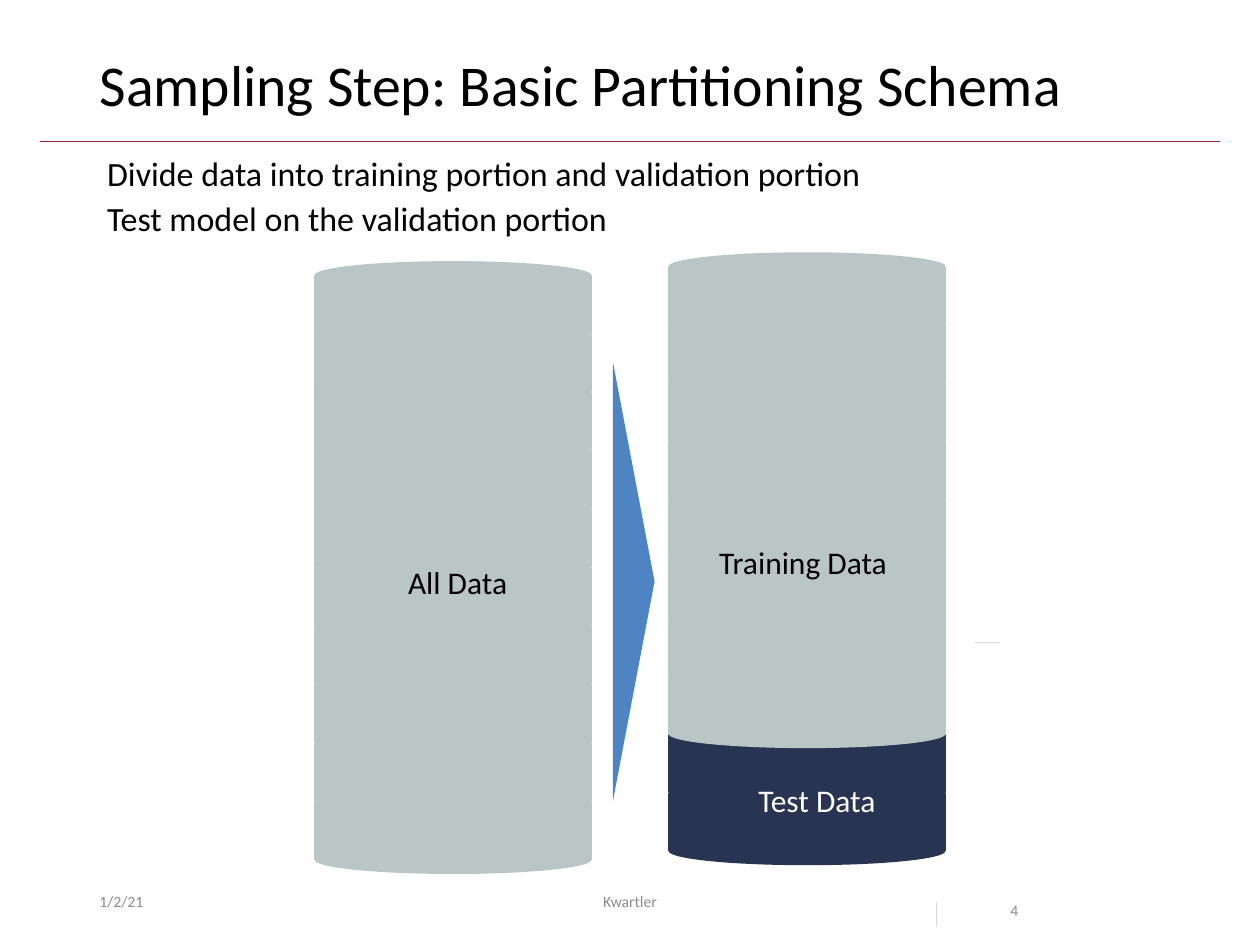
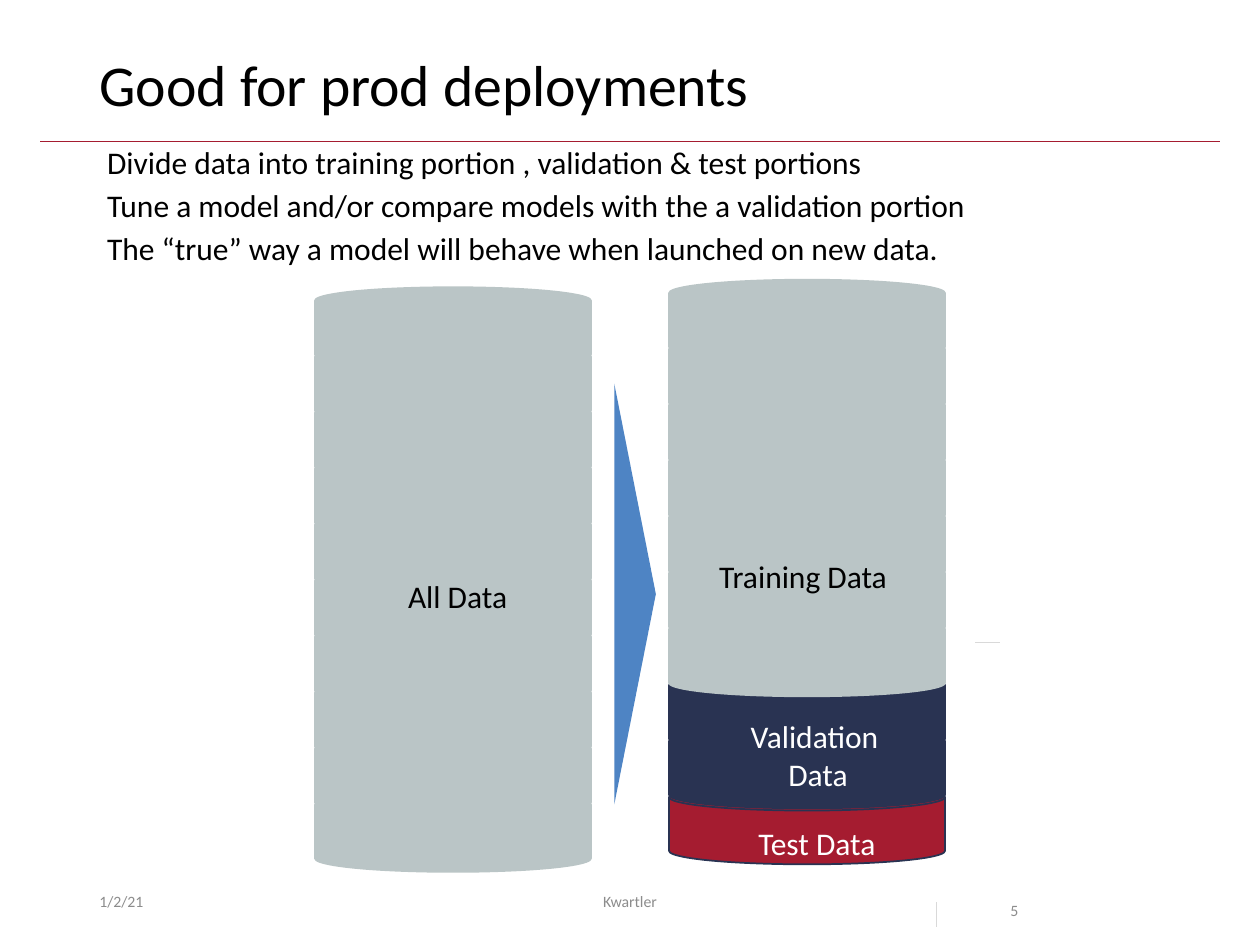
from lxml.etree import SubElement
from pptx import Presentation
from pptx.dml.color import RGBColor
from pptx.enum.shapes import MSO_CONNECTOR, MSO_SHAPE
from pptx.enum.text import MSO_ANCHOR, MSO_AUTO_SIZE, PP_ALIGN
from pptx.oxml.ns import qn
from pptx.util import Inches, Pt

BLACK = RGBColor(0x00, 0x00, 0x00)
WHITE = RGBColor(0xFF, 0xFF, 0xFF)
GRAY = RGBColor(0x8C, 0x8C, 0x8C)
PALE = RGBColor(0xD9, 0xD9, 0xD9)
MIST = RGBColor(0xBA, 0xC5, 0xC6)
NAVY = RGBColor(0x29, 0x33, 0x52)
RED = RGBColor(0xA5, 0x1C, 0x30)
BLUE = RGBColor(0x4E, 0x84, 0xC4)

deck = Presentation()
deck.slide_width, deck.slide_height = Inches(10), Inches(7.5)
COL = deck.slide_width // 100
ROW = deck.slide_height // 75
DISKS = 10
WIDE = 21.9

LEFT, MID = PP_ALIGN.LEFT, PP_ALIGN.CENTER
TOP, CORE = MSO_ANCHOR.TOP, MSO_ANCHOR.MIDDLE
FIXED, GROW = MSO_AUTO_SIZE.NONE, MSO_AUTO_SIZE.SHAPE_TO_FIT_TEXT
TITLE = {"line_spacing": 0.9, "alignment": LEFT}
LIST = {"line_spacing": 0.8, "space_before": Pt(7.5), "alignment": LEFT}
LINES = [
    ((3.2, 11.2, 96.8, 11.2), RED),
    ((74.3, 71.6, 74.3, 73.6), PALE),
    ((77.4, 51, 79.4, 51), PALE),
]

PAGES = [
    {
        "title": "Sampling Step: Basic Partitioning Schema",
        "list": [
            "Divide data into training portion and validation portion",
            "Test model on the validation portion",
        ],
        "size": 19.4, "body": (7.5, 12.2, 85, 7.5),
        "span": 41.8, "tall": 6.7, "bases": (62.6, 61.9),
        "tints": [NAVY, NAVY], "arrow": (32.9, 44.5, 34.8, 3.3),
        "tags": [
            (["All Data"], (31.4, 44.2, 10, 4), BLACK, LEFT),
            (["Training Data"], (56.1, 42.6, 16.1, 4), BLACK, LEFT),
            (["Test Data"], (59.2, 61.5, 11.4, 4), WHITE, LEFT),
        ],
        "page": "4",
    },
    {
        "title": "Good for prod deployments",
        "list": [
            "Divide data into training portion , validation & test portions",
            "Tune a model and/or compare models with the a validation portion",
            "The “true” way a model will behave when launched on new data.",
        ],
        "size": 18, "body": (7.5, 11.4, 85, 10.8),
        "span": 40, "tall": 6.4, "bases": (62.8, 62.2),
        "tints": [RED, NAVY, NAVY], "arrow": (33.7, 45.5, 33.4, 3.3),
        "tags": [
            (["All Data"], (31.4, 45.3, 10, 3.9), BLACK, LEFT),
            (["Training Data"], (56.1, 43.7, 16.1, 3.9), BLACK, LEFT),
            (["Test Data"], (59.2, 64.9, 11.4, 3.9), WHITE, LEFT),
            (["Validation", " Data"], (58.5, 56.4, 12.3, 7.1), WHITE, MID),
        ],
        "page": "5",
    },
]


def area(x, y, w, h):
    return [round(n) for n in (x * COL, y * ROW, w * COL, h * ROW)]


def write(shape, lines, size, ink, form, anchor=TOP, wrap=True, fit=FIXED):
    frame = shape.text_frame
    frame.text = "\n".join(lines)
    rules = {"word_wrap": wrap, "auto_size": fit, "vertical_anchor": anchor}
    for key, val in rules.items():
        setattr(frame, key, val)
    for para in frame.paragraphs:
        for key, val in form.items():
            setattr(para, key, val)
        for run in para.runs:
            for key, val in {"name": "Calibri", "size": Pt(size)}.items():
                setattr(run.font, key, val)
            run.font.color.rgb = ink


for page in PAGES:
    slide = deck.slides.add_slide(deck.slide_layouts[1])
    shapes = slide.shapes
    head, body = slide.placeholders
    for hold, spot in ((head, (6.9, 4, 86.2, 6.5)), (body, page["body"])):
        for key, val in zip(("left", "top", "width", "height"), area(*spot)):
            setattr(hold, key, val)
    write(head, [page["title"]], 33, BLACK, TITLE)
    write(body, page["list"], page["size"], BLACK, LIST)
    for para in body.text_frame.paragraphs:
        props = para._p.get_or_add_pPr()
        props.set("marL", str(Inches(0.19)))
        props.set("indent", str(-Inches(0.19)))
        SubElement(props, qn("a:buNone"))

    for text, spot, form, anchor in (
        ("1/2/21", (6.9, 69.5, 22.5, 4), {}, CORE),
        ("Kwartler", (33.1, 69.5, 33.8, 4), {"alignment": MID}, CORE),
        (page["page"], (79.2, 69.5, 9.4, 4), {"line_spacing": 2.0}, TOP),
    ):
        write(shapes.add_textbox(*area(*spot)), [text], 9, GRAY, form, anchor)

    whole = [MIST] * DISKS
    parts = page["tints"] + whole[len(page["tints"]):]
    for x, base, tints in zip((25, 53.1), page["bases"], (whole, parts)):
        for step, tint in enumerate(tints):
            y = base - step * page["span"] / (DISKS - 1)
            disk = shapes.add_shape(
                MSO_SHAPE.FLOWCHART_MAGNETIC_DISK, *area(x, y, WIDE, page["tall"])
            )
            disk.shadow.inherit = False
            disk.fill.solid()
            disk.fill.fore_color.rgb = tint
            disk.line.color.rgb = NAVY if tint == RED else tint
            disk.line.width = Pt(1)

    arrow = shapes.add_shape(MSO_SHAPE.ISOSCELES_TRIANGLE, *area(*page["arrow"]))
    arrow.rotation = 90
    arrow.shadow.inherit = False
    arrow.fill.solid()
    arrow.fill.fore_color.rgb = BLUE
    arrow.line.fill.background()

    for lines, spot, ink, align in page["tags"]:
        tag = shapes.add_textbox(*area(*spot))
        write(tag, lines, 18, ink, {"alignment": align}, wrap=False, fit=GROW)

    for ends, tint in LINES:
        rule = shapes.add_connector(MSO_CONNECTOR.STRAIGHT, *area(*ends))
        rule.line.color.rgb = tint
        rule.line.width = Pt(0.5)
        SubElement(rule._element.spPr, qn("a:effectLst"))

deck.save("out.pptx")
